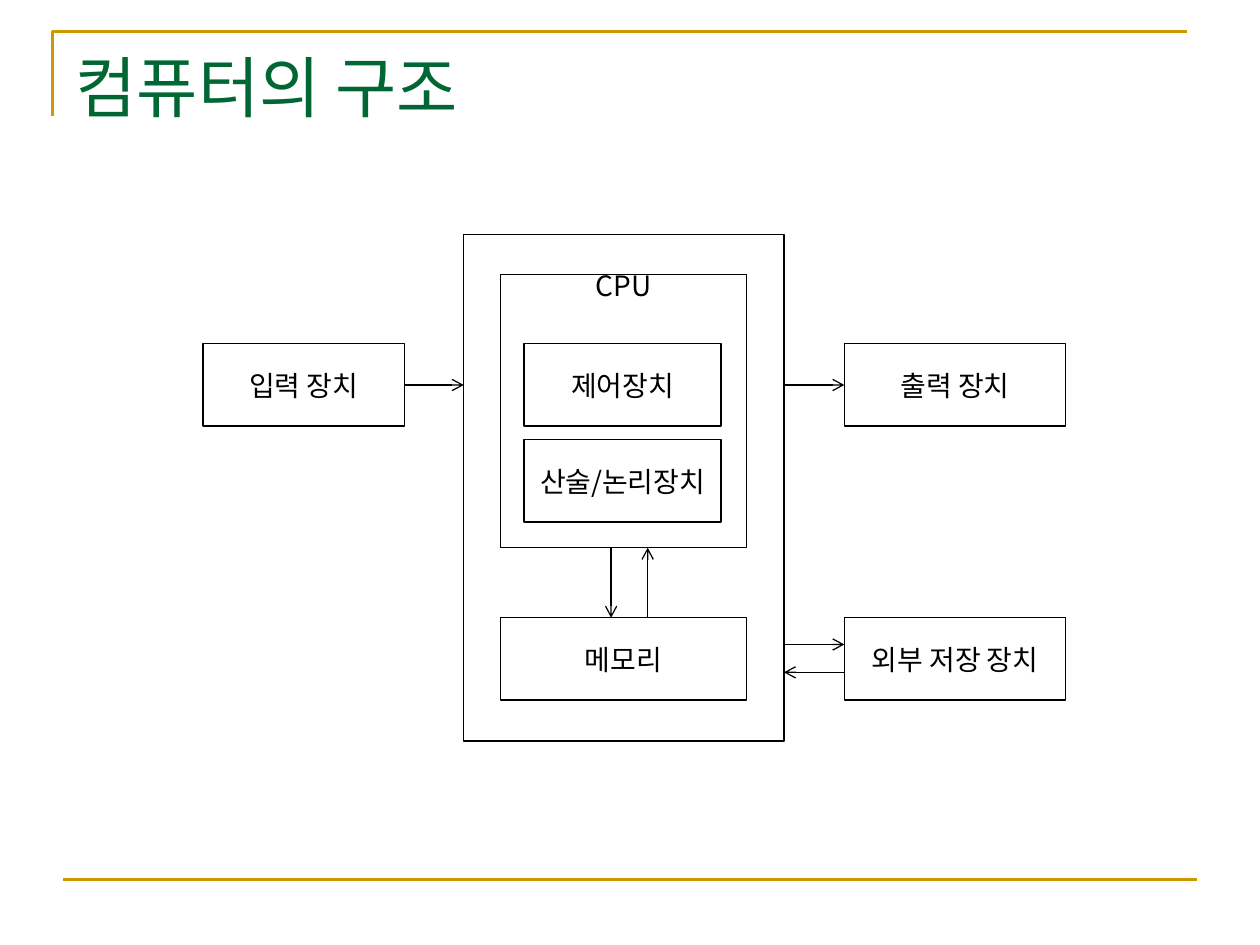
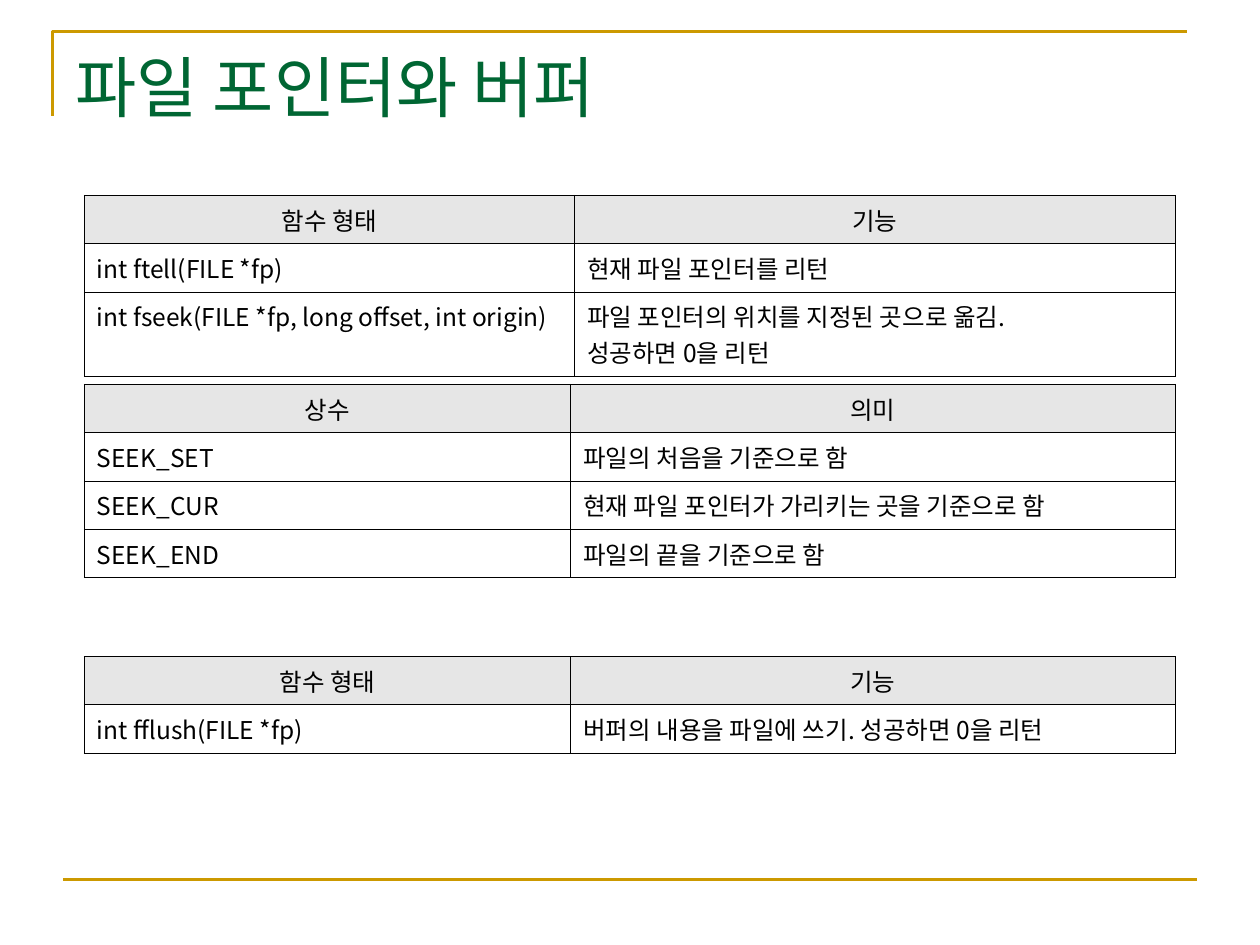
from lxml import etree
from pptx import Presentation
from pptx.dml.color import RGBColor
from pptx.enum.shapes import MSO_CONNECTOR, MSO_SHAPE
from pptx.enum.text import MSO_ANCHOR, PP_ALIGN
from pptx.oxml.ns import qn
from pptx.util import Pt

RECTANGLE = MSO_SHAPE.RECTANGLE
STRAIGHT = MSO_CONNECTOR.STRAIGHT
MIDDLE, TOP = MSO_ANCHOR.MIDDLE, MSO_ANCHOR.TOP
CENTER, LEFT = PP_ALIGN.CENTER, PP_ALIGN.LEFT

FONT = "Noto Sans CJK KR"
GOLD, GREEN = "CC9900", "006633"
BLACK, WHITE, HEADER_GRAY = "000000", "FFFFFF", "E6E6E6"
SLIDE_SIZE = (720, 540)
TITLE_BOX = (36, 21.6, 669.6, 55.4)
DIAGRAM_BOX = (116, 134, 493, 289.5)
TABLE_LEFT, TABLE_WIDTH = 48.2, 623.5

DEVICES = {
    "computer": ("", 149, 0, 183, 289.5),
    "cpu": ("CPU", 170, 23, 140.5, 156),
    "control": ("제어장치", 183.5, 62.5, 112.5, 47),
    "arithmetic": ("산술/논리장치", 183.5, 117.3, 112.5, 47),
    "memory": ("메모리", 170, 219, 140.5, 47),
    "input": ("입력 장치", 0, 62.5, 115, 47),
    "output": ("출력 장치", 366.5, 62.5, 126.5, 47),
    "storage": ("외부 저장 장치", 366.5, 219, 126.5, 47),
}

FUNCTION_HEADER = ("함수 형태", "기능")
TABLES = [
    (111.6, 280.1, (24.5, 24.5, 41), [
        FUNCTION_HEADER,
        ("int ftell(FILE *fp)", "현재 파일 포인터를 리턴"),
        ("int fseek(FILE *fp, long offset, int origin)",
         "파일 포인터의 위치를 지정된 곳으로 옮김.\n성공하면 0을 리턴"),
    ]),
    (219.6, 277.9, (25.2,) * 4, [
        ("상수", "의미"),
        ("SEEK_SET", "파일의 처음을 기준으로 함"),
        ("SEEK_CUR", "현재 파일 포인터가 가리키는 곳을 기준으로 함"),
        ("SEEK_END", "파일의 끝을 기준으로 함"),
    ]),
    (375.1, 277.9, (26.6,) * 2, [
        FUNCTION_HEADER,
        ("int fflush(FILE *fp)", "버퍼의 내용을 파일에 쓰기. 성공하면 0을 리턴"),
    ]),
]


def color(hex_value):
    return RGBColor.from_string(hex_value)


def points(*values):
    return [Pt(value) for value in values]


def set_line(line, hex_value, width):
    line.color.rgb = color(hex_value)
    line.width = Pt(width)


def write_text(paragraph, text, size, hex_value, alignment):
    paragraph.alignment = alignment
    for index, part in enumerate(text.split("\n")):
        if index:
            paragraph.add_line_break()
        run = paragraph.add_run()
        run.text = part
        run.font.size = Pt(size)
        run.font.name = FONT
        run.font.color.rgb = color(hex_value)
        east_asian = etree.Element(qn("a:ea"), typeface=FONT)
        run.font._element.find(qn("a:latin")).addnext(east_asian)


def add_line(slide, start, end, hex_value, width, arrow=False):
    connector = slide.shapes.add_connector(STRAIGHT, *points(*start, *end))
    set_line(connector.line, hex_value, width)
    properties = connector.element.spPr
    if arrow:
        etree.SubElement(properties.find(qn("a:ln")), qn("a:tailEnd"), type="arrow")
    etree.SubElement(properties, qn("a:effectLst"))


def add_frame(slide):
    builder = slide.shapes.build_freeform(*points(30.2, 66.2))
    builder.add_line_segments([points(30.2, 18), points(678.2, 18)], close=False)
    corner = builder.convert_to_shape()
    corner.shadow.inherit = False
    corner.fill.background()
    set_line(corner.line, GOLD, 1.5)
    add_line(slide, (36, 502.6), (684, 502.6), GOLD, 1.5)


def add_titled_slide(presentation, title_text):
    slide = presentation.slides.add_slide(presentation.slide_layouts[5])
    add_frame(slide)
    title = slide.shapes.title
    title.left, title.top, title.width, title.height = points(*TITLE_BOX)
    title.text_frame.vertical_anchor = MIDDLE
    write_text(title.text_frame.paragraphs[0], title_text, 38, GREEN, LEFT)
    return slide


def add_device(slide, text, left, top, width, height):
    shape = slide.shapes.add_shape(RECTANGLE, *points(left, top, width, height))
    shape.shadow.inherit = False
    shape.fill.solid()
    shape.fill.fore_color.rgb = color(WHITE)
    set_line(shape.line, BLACK, 0.75)
    if text:
        frame = shape.text_frame
        frame.word_wrap = False
        frame.vertical_anchor = MIDDLE
        write_text(frame.paragraphs[0], text, 16, BLACK, CENTER)
    return shape


def add_computer_diagram(slide, box):
    box_left, box_top = box[:2]
    shapes = {
        name: add_device(slide, text, box_left + left, box_top + top, width, height)
        for name, (text, left, top, width, height) in DEVICES.items()
    }
    cpu_frame = shapes["cpu"].text_frame
    cpu_frame.vertical_anchor = TOP
    cpu_frame.margin_top = 0
    cpu_frame.paragraphs[0].line_spacing = 0.8

    input_right, computer_left, computer_right, output_left = 115, 149, 332, 366.5
    cpu_bottom, memory_top, device_middle = 179, 219, 86
    arrows = [
        ((input_right, device_middle), (computer_left, device_middle)),
        ((computer_right, device_middle), (output_left, device_middle)),
        ((233.2, cpu_bottom), (233.2, memory_top)),
        ((254.1, memory_top), (254.1, cpu_bottom)),
        ((computer_right, 234.3), (output_left, 234.3)),
        ((output_left, 250.2), (computer_right, 250.2)),
    ]
    for arrow in arrows:
        start, end = [(box_left + x, box_top + y) for x, y in arrow]
        add_line(slide, start, end, BLACK, 0.75, arrow=True)


def add_cell_borders(cell):
    properties = cell._tc.get_or_add_tcPr()
    for index, side in enumerate(("lnL", "lnR", "lnT", "lnB")):
        border = etree.Element(qn(f"a:{side}"), w=str(Pt(0.45)))
        fill = etree.SubElement(border, qn("a:solidFill"))
        etree.SubElement(fill, qn("a:srgbClr"), val=BLACK)
        properties.insert(index, border)


def add_function_table(slide, box, first_width, row_heights, rows):
    table = slide.shapes.add_table(len(rows), 2, *points(*box)).table
    table.first_row = table.horz_banding = False
    for column, width in zip(table.columns, (first_width, box[2] - first_width)):
        column.width = Pt(width)
    for row_index, (height, texts) in enumerate(zip(row_heights, rows)):
        table.rows[row_index].height = Pt(height)
        for column_index, text in enumerate(texts):
            cell = table.cell(row_index, column_index)
            if row_index == 0:
                cell.fill.solid()
                cell.fill.fore_color.rgb = color(HEADER_GRAY)
            else:
                cell.fill.background()
            add_cell_borders(cell)
            alignment = LEFT if row_index else CENTER
            write_text(cell.text_frame.paragraphs[0], text, 14, BLACK, alignment)


def main():
    presentation = Presentation()
    presentation.slide_width, presentation.slide_height = points(*SLIDE_SIZE)

    structure_slide = add_titled_slide(presentation, "컴퓨터의 구조")
    add_computer_diagram(structure_slide, DIAGRAM_BOX)

    pointer_slide = add_titled_slide(presentation, "파일 포인터와 버퍼")
    for top, first_width, row_heights, rows in TABLES:
        box = (TABLE_LEFT, top, TABLE_WIDTH, sum(row_heights))
        add_function_table(pointer_slide, box, first_width, row_heights, rows)

    presentation.save("out.pptx")


if __name__ == "__main__":
    main()
